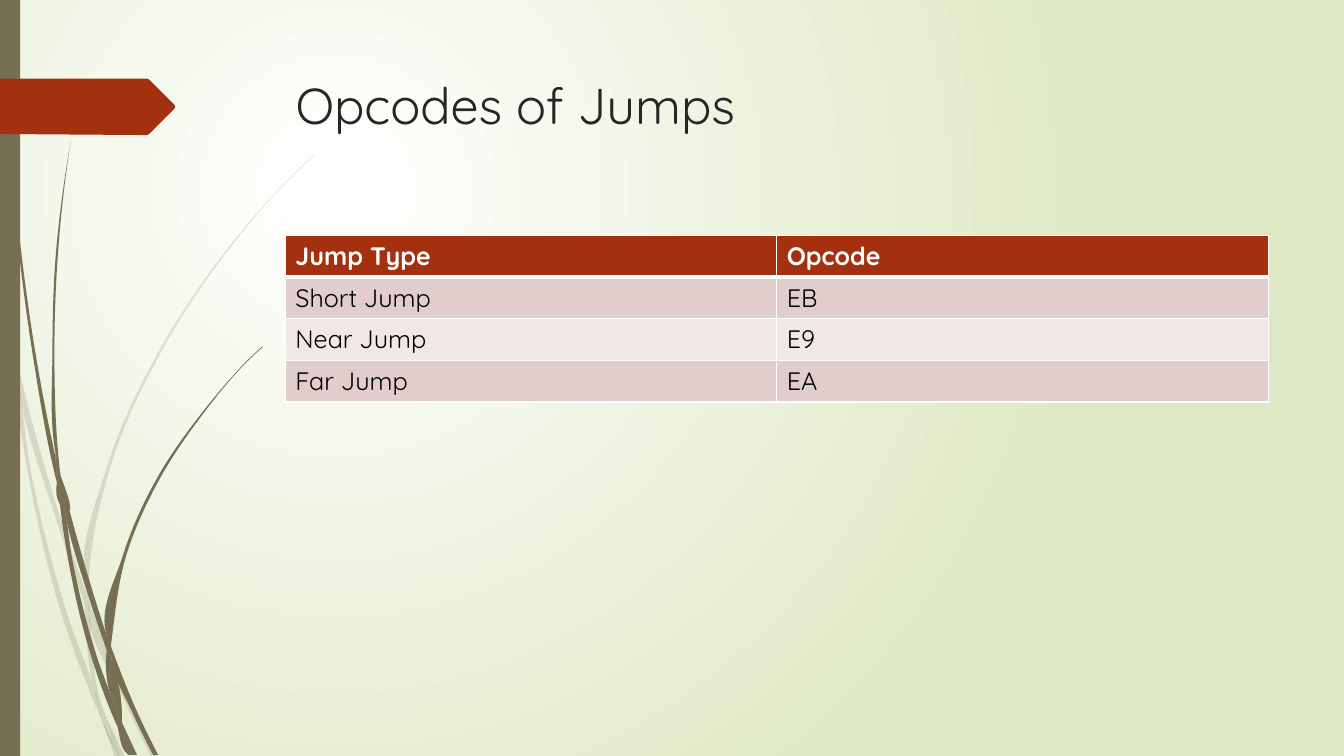
from math import hypot

from lxml.etree import SubElement
from pptx import Presentation
from pptx.dml.color import RGBColor as RGB
from pptx.enum.shapes import MSO_SHAPE as SHAPE
from pptx.oxml import parse_xml
from pptx.oxml.ns import nsdecls, qn
from pptx.util import Cm, Pt

FONT = "Quicksand"
COLORS = {
    "white": "FFFFFF", "meadow": "DFE8C4", "olive": "766F54", "rust": "A53010",
    "title": "262626", "black": "000000", "odd": "E1CDCC", "even": "F0E8E7",
}
UNIT = 0.0254  # outline points are in hundredths of an inch, this is one in cm

# Every blade piece has two edges, each running on from the end of the other.
FAINT_BLADES = [
    ([(11, 350), (9, 322), (0, 282)], [(0, 299), (10, 344), (11, 350)]),
    ([(14, 345), (17, 376), (58, 522), (84, 599)], [(85, 586), (62, 520), (14, 345)]),
    ([(88, 596), (88, 610), (123, 694), (150, 751)], [(155, 751), (127, 692), (92, 607), (88, 596)]),
    ([(119, 751), (124, 751)], [(105, 711), (119, 751)]),
    ([(101, 714), (93, 683), (70, 619), (31, 469), (17, 376), (11, 350)],
     [(11, 350), (28, 470), (65, 621), (92, 693), (101, 714)]),
    ([(84, 599), (87, 646), (93, 683), (96, 692), (105, 711)],
     [(105, 711), (103, 706), (91, 646), (88, 610), (84, 599)]),
    ([(88, 596), (88, 584), (110, 462), (160, 349), (229, 245), (268, 198), (290, 175), (312, 154)],
     [(312, 153), (289, 175), (268, 197), (228, 244), (158, 348), (107, 461), (85, 584), (88, 596)]),
    ([(101, 714), (114, 751)], [(119, 751), (101, 714)]),
    ([(88, 608), (88, 596), (85, 586)], [(84, 599), (88, 608)]),
    ([(119, 751), (105, 711), (96, 692), (93, 683)], [(99, 707), (101, 714), (119, 751)]),
]
SOLID_BLADES = [
    ([(3, 0), (4, 48), (7, 110), (17, 233), (33, 355), (56, 477), (57, 481)],
     [(55, 453), (36, 355), (19, 232), (8, 109), (5, 48), (4, 0)]),
    ([(60, 472), (64, 505), (88, 592), (106, 645)], [(106, 631), (93, 590), (60, 472)]),
    ([(110, 641), (111, 656), (132, 708), (152, 749)], [(157, 749), (136, 706), (113, 649), (110, 641)]),
    ([(117, 722), (110, 691), (98, 657), (72, 556), (64, 505), (57, 477)],
     [(57, 477), (68, 557), (93, 659), (111, 708), (117, 722)]),
    ([(60, 472), (58, 453), (54, 349), (58, 245), (63, 193), (70, 141)],
     [(70, 141), (62, 193), (56, 245), (52, 349), (55, 449), (60, 472)]),
    ([(133, 749), (136, 749)], [(122, 719), (133, 749)]),
    ([(57, 477), (64, 505), (60, 472)], [(55, 449), (55, 453), (57, 477)]),
    ([(110, 641), (111, 633), (125, 552), (158, 476), (205, 406), (231, 374), (245, 359), (261, 344)],
     [(260, 344), (245, 358), (231, 373), (204, 405), (156, 474), (122, 551), (106, 631), (110, 641)]),
    ([(117, 722), (127, 749)], [(131, 749), (117, 722)]),
    ([(106, 645), (110, 691), (116, 706), (122, 719)], [(121, 716), (111, 656), (109, 651), (106, 645)]),
    ([(106, 645), (109, 651), (111, 656)], [(110, 641), (106, 631), (106, 645)]),
    ([(133, 749), (122, 719), (116, 706), (110, 691)], [(116, 717), (117, 722), (130, 749), (133, 749)]),
]
ARROW = [(0, 78), (146, 78), (148, 79), (173, 104), (174, 106), (173, 108),
         (148, 133), (146, 134), (136, 134), (0, 133)]


def bend(edge):
    """Return the two Bézier control points of each piece of a smooth edge."""
    chords = [(x2 - x1, y2 - y1) for (x1, y1), (x2, y2) in zip(edge, edge[1:])]
    sizes = [hypot(*c) for c in chords]
    units = [(dx / n, dy / n) for (dx, dy), n in zip(chords, sizes)]
    inner = []
    for (ux, uy), (vx, vy), m, n in zip(units, units[1:], sizes, sizes[1:]):
        tx, ty = ux * n + vx * m, uy * n + vy * m
        size = hypot(tx, ty)
        inner.append((tx / size, ty / size))
    ends = [units[0], units[-1]]
    if inner:
        ends = [(2 * ux - tx, 2 * uy - ty)
                for (ux, uy), (tx, ty) in zip(ends, (inner[0], inner[-1]))]
    tangents = [ends[0], *inner, ends[1]]
    return [((a[0] + t[0] * n / 3, a[1] + t[1] * n / 3), (b[0] - v[0] * n / 3, b[1] - v[1] * n / 3))
            for a, b, t, v, n in zip(edge, edge[1:], tangents, tangents[1:], sizes)]


def add_outline(shapes, points, color, controls=()):
    """Draw a closed outline; lines that have control points become curves."""
    pts = [(Cm(x * UNIT), Cm(y * UNIT)) for x, y in points]
    builder = shapes.build_freeform(*pts[0])
    builder.add_line_segments(pts[1:], close=False)
    sp = builder.convert_to_shape()
    outline = sp._element.find(".//" + qn("a:path"))
    for line, pair in zip(outline.findall(qn("a:lnTo")), controls):
        if pair:
            line.tag = qn("a:cubicBezTo")
            for k, (x, y) in enumerate(pair):
                pt = SubElement(line, qn("a:pt"), x=str(Cm(x * UNIT) - sp.left), y=str(Cm(y * UNIT) - sp.top))
                line.insert(k, pt)
    SubElement(outline, qn("a:close"))
    sp.shadow.inherit = False
    sp.fill.solid()
    sp.fill.fore_color.rgb = RGB.from_string(COLORS[color])
    sp.line.fill.background()
    return sp


prs = Presentation()
prs.slide_width, prs.slide_height = Cm(33.87), Cm(19.05)
s = prs.slides.add_slide(prs.slide_layouts[6])

# Background: light spreading in circles
bg = s.background.fill
bg.gradient()
for stop, name in zip(bg.gradient_stops, ("white", "meadow")):
    stop.color.rgb = RGB.from_string(COLORS[name])
lin = s.element.find(".//" + qn("a:lin"))
lin.getparent().replace(lin, parse_xml(
    f'<a:path {nsdecls("a")} path="circle">'
    '<a:fillToRect l="50000" t="50000" r="100000" b="100000"/></a:path>'))

# Grass, side bar and arrow
for blades, opacity in ((FAINT_BLADES, 20), (SOLID_BLADES, 100)):
    grass = s.shapes.add_group_shape()
    for there, back in blades:
        joined = there[-1] == back[0]
        controls = bend(there) + ([] if joined else [None]) + bend(back)
        sp = add_outline(grass.shapes, there + back[joined:], "olive", controls)
        if opacity < 100:
            clr = sp._element.spPr.find(".//" + qn("a:srgbClr"))
            SubElement(clr, qn("a:alpha"), val=str(opacity * 1000))

bar = s.shapes.add_shape(SHAPE.RECTANGLE, 0, 0, Cm(0.51), prs.slide_height)
bar.shadow.inherit = False
bar.fill.solid()
bar.fill.fore_color.rgb = RGB.from_string(COLORS["olive"])
bar.line.fill.background()
add_outline(s.shapes, ARROW, "rust")

# Title
tf = s.shapes.add_textbox(Cm(7.2), Cm(1.75), Cm(24.77), Cm(3.56)).text_frame
tf.word_wrap = True
tf.text = "Opcodes of Jumps"
font = tf.paragraphs[0].runs[0].font
font.name, font.size = FONT, Pt(36)
font.color.rgb = RGB.from_string(COLORS["title"])

# Table
ROWS = [("Jump Type", "Opcode"), ("Short Jump", "EB"), ("Near Jump", "E9"), ("Far Jump", "EA")]
table = s.shapes.add_table(len(ROWS), 2, Cm(7.19), Cm(5.93), Cm(24.77), Cm(4.2)).table
for i, row in enumerate(ROWS):
    header = i == 0
    for j, text in enumerate(row):
        cell = table.cell(i, j)
        cell.text = text
        font = cell.text_frame.paragraphs[0].runs[0].font
        font.name, font.size, font.bold = FONT, Pt(18), header
        font.color.rgb = RGB.from_string(COLORS["white" if header else "black"])
        tcPr = cell._tc.get_or_add_tcPr()
        for side in "LRTB":
            thick = (header and side == "B") or (i == 1 and side == "T")
            ln = SubElement(tcPr, qn(f"a:ln{side}"), w=str(Pt(3 if thick else 1)))
            SubElement(SubElement(ln, qn("a:solidFill")), qn("a:srgbClr"), val=COLORS["white"])
        cell.fill.solid()
        fill = "rust" if header else "odd" if i % 2 else "even"
        cell.fill.fore_color.rgb = RGB.from_string(COLORS[fill])

prs.save("out.pptx")
